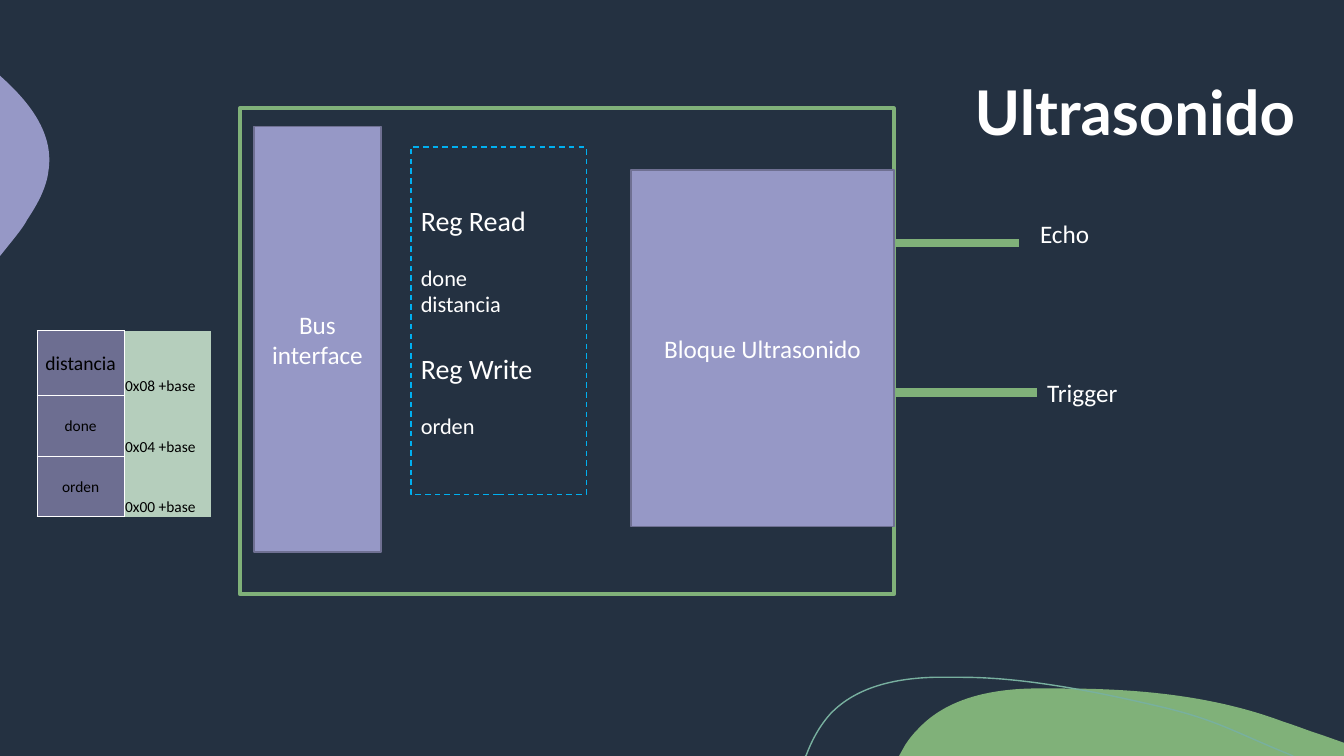
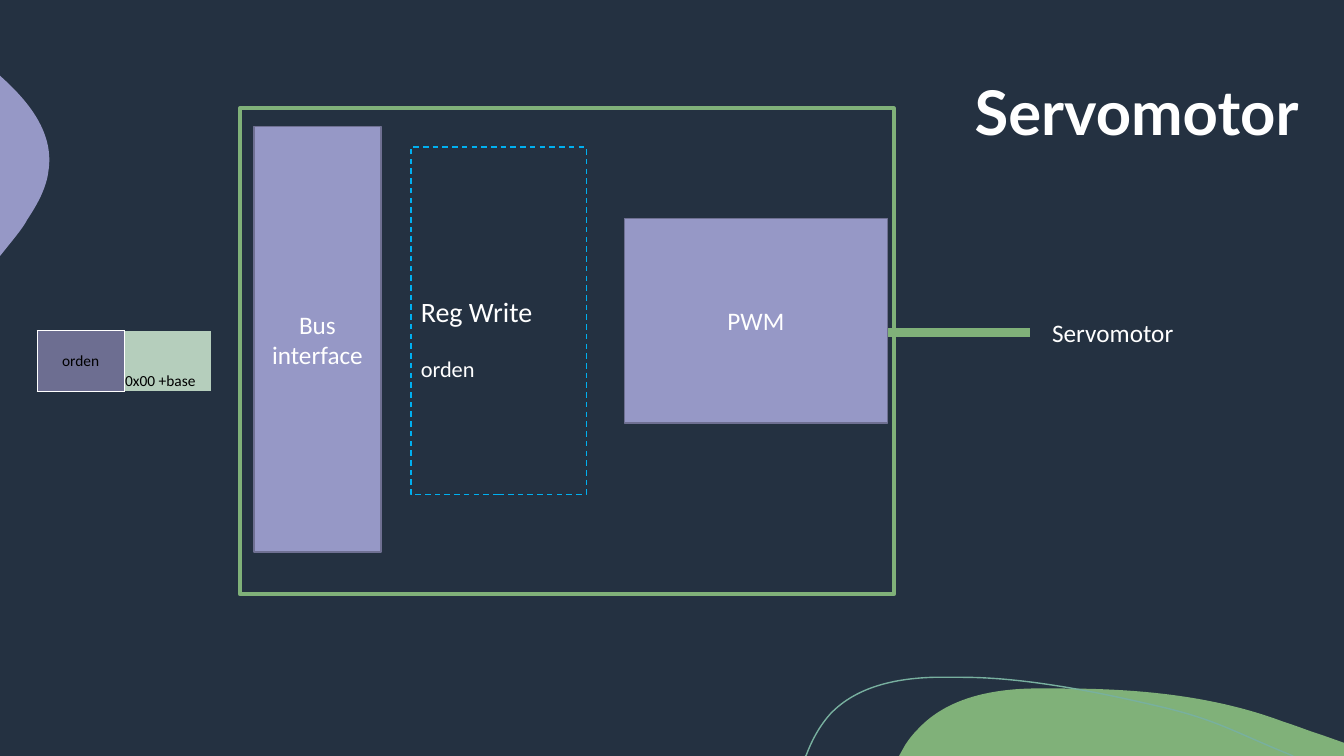
from lxml import etree
from pptx import Presentation
from pptx.dml.color import RGBColor
from pptx.enum.dml import MSO_LINE
from pptx.enum.shapes import MSO_CONNECTOR, MSO_SHAPE
from pptx.enum.text import MSO_ANCHOR, MSO_AUTO_SIZE, PP_ALIGN
from pptx.oxml.ns import qn
from pptx.util import Pt

RECT = MSO_SHAPE.RECTANGLE
STRAIGHT = MSO_CONNECTOR.STRAIGHT
DASH = MSO_LINE.DASH
MIDDLE, BOTTOM = MSO_ANCHOR.MIDDLE, MSO_ANCHOR.BOTTOM
LEFT, CENTER = PP_ALIGN.LEFT, PP_ALIGN.CENTER
FIT = MSO_AUTO_SIZE.SHAPE_TO_FIT_TEXT

# Shared look
COLORS = {
    "night": "243141", "green": "80B179", "lilac": "9698C6", "teal": "78B09F",
    "edge": "6F7092", "register": "6D6E91", "address": "B5CEBC",
    "dash": "00B0F0", "white": "FFFFFF", "black": "000000",
}
TITLE_FONT, BODY_FONT = "Lato", "Calibri"
PLAIN_TABLE = "{2D5ABB26-0587-4C30-8999-92F81FD0307C}"

# Boxes are left, top, width, height in points
TITLE_BOX = (689, 15.5, 270.7, 134)
FRAME_BOX = (171.4, 77.4, 467, 347)
BUS_BOX = (181.4, 90.4, 90.7, 303.8)
REGISTERS_BOX = (293.5, 105.1, 125.3, 248.2)
MAP_LEFT, MAP_TOP, MAP_COLUMN, MAP_ROW = 26.6, 236.2, 62.1, 14.4
ROWS_PER_REGISTER = 3
LABEL_HEIGHT = 28.8
LINE_16, LINE_20 = 19.2, 24.2  # line heights of 16 and 20 point text

# Background curves: a start, then points (2 numbers) or Bezier pieces (6 numbers)
HILL = [(758.9, 491.8), (812.2, 491.8, 866.9, 496.8, 916.6, 515.5),
        (925.9, 518.4, 934.6, 522, 943.9, 524.9), (960, 530.6), (960, 540),
        (642.2, 540), (646.6, 532.1), (649.4, 527.8, 652.3, 524.2, 655.9, 520.6),
        (676.1, 499, 707, 492.5, 736.6, 491.8),
        (743.8, 491.8, 751, 491.8, 758.9, 491.8)]
LEAF = [(0, 54), (0.7, 54.7), (21.6, 73.4, 38.9, 95.8, 34.6, 122.4),
        (33.1, 134.6, 26.6, 146.2, 19.4, 157),
        (17.3, 161.3, 12.2, 167.8, 5.8, 175.7), (0, 182.9)]
WAVE = [(575.3, 540), (576, 539.3), (580.3, 527.8, 586.1, 517.7, 593.3, 509.8),
        (612, 490.3, 640.1, 484.6, 666.7, 483.8), (687.6, 483.8),
        (735.8, 483.8, 792, 496.1, 831.6, 505.4),
        (870.5, 514.8, 882.7, 523.4, 923.8, 540)]
CURVES = [(HILL, "green", None), (LEAF, "lilac", None), (WAVE, None, "teal")]

# Content: pins are label, line start, line y, label left, label top, label width
PERIPHERALS = [
    {
        "title": "Ultrasonido",
        "block": ("Bloque Ultrasonido", (450.7, 121.5, 187.9, 254.5)),
        "pins": [("Echo", 625.7, 173.5, 735.8, 152.3, 56.2),
                 ("Trigger", 638.6, 280.3, 740.9, 266, 74.2)],
        "registers": [("Reg Read", ["done", "distancia"]), ("Reg Write", ["orden"])],
        "top_inset": 3.6,
        "map": [("distancia", "0x08 +base", 14), ("done", "0x04 +base", 11),
                ("orden", "0x00 +base", 11)],
    },
    {
        "title": "Servomotor",
        "block": ("PWM", (446, 156, 187.9, 146.2)),
        "pins": [("Servomotor", 633.6, 237.6, 744.5, 223.2, 112.3)],
        "registers": [("Reg Write", ["orden"])],
        "top_inset": 3.6 + LINE_20,
        "map": [("orden", "0x00 +base", 11)],
    },
]
PIN_LENGTH = 102.2


def rgb(name):
    return RGBColor.from_string(COLORS[name])


def points(box):
    return [Pt(value) for value in box]


def style_text(paragraph, size, color="white", font=BODY_FONT, bold=False, align=LEFT):
    paragraph.alignment = align
    for run in paragraph.runs:
        run.font.size, run.font.name, run.font.bold = Pt(size), font, bold
        run.font.color.rgb = rgb(color)


def paint(shape, fill=None, line=None, width=1):
    shape.shadow.inherit = False
    if fill:
        shape.fill.solid()
        shape.fill.fore_color.rgb = rgb(fill)
    else:
        shape.fill.background()
    if line:
        shape.line.color.rgb = rgb(line)
        shape.line.width = Pt(width)
    else:
        shape.line.fill.background()


def add_box(slide, box, fill=None, line=None, width=1, text=""):
    shape = slide.shapes.add_shape(RECT, *points(box))
    paint(shape, fill, line, width)
    frame = shape.text_frame
    frame.word_wrap, frame.vertical_anchor = True, MIDDLE
    if text:
        frame.text = text
        style_text(frame.paragraphs[0], 18, align=CENTER)
    return shape


# Background curves
def add_curve(slide, pieces, closed):
    """Lay straight segments through all control points, then join threes into Beziers."""
    knots = [points(piece[i:i + 2]) for piece in pieces for i in range(0, len(piece), 2)]
    builder = slide.shapes.build_freeform(*knots[0])
    builder.add_line_segments(knots[1:], close=closed)
    curve = builder.convert_to_shape()
    segments = iter(list(curve.element.iter(qn("a:lnTo"))))
    for piece in pieces[1:]:
        segment = next(segments)
        if len(piece) == 6:
            segment.tag = qn("a:cubicBezTo")
            for extra in (next(segments), next(segments)):
                segment.append(extra[0])
                extra.getparent().remove(extra)
    return curve


def decorate_layout(layout, slide):
    """Draw the curves on a slide, then move them to the layout that all slides share."""
    layout.background.fill.solid()
    layout.background.fill.fore_color.rgb = rgb("night")
    for footer in list(layout.placeholders)[1:]:
        footer.element.getparent().remove(footer.element)
    for index, (pieces, fill, line) in enumerate(CURVES):
        curve = add_curve(slide, pieces, closed=fill is not None)
        paint(curve, fill, line)
        curve.element.nvSpPr.cNvPr.set("id", str(100 + index))
        layout.shapes.element.insert(2 + index, curve.element)


# Slide parts
def add_title(slide, text):
    title = slide.shapes.title
    title.left, title.top, title.width, title.height = points(TITLE_BOX)
    frame = title.text_frame
    frame.text = text
    frame.vertical_anchor, frame.word_wrap = MIDDLE, True
    frame.paragraphs[0].line_spacing = 0.9
    style_text(frame.paragraphs[0], 44, font=TITLE_FONT, bold=True)


def add_pin(slide, label, start, y, label_left, label_top, label_width):
    wire = slide.shapes.add_connector(STRAIGHT, *points((start, y, start + PIN_LENGTH, y)))
    wire.line.color.rgb = rgb("green")
    wire.line.width = Pt(6)
    etree.SubElement(wire.element.spPr, qn("a:effectLst"))
    caption = slide.shapes.add_textbox(
        *points((label_left, label_top, label_width, LABEL_HEIGHT)))
    frame = caption.text_frame
    frame.text = label
    frame.word_wrap, frame.auto_size = False, FIT
    style_text(frame.paragraphs[0], 18)


def add_registers(slide, groups, top_inset):
    box = add_box(slide, REGISTERS_BOX, line="dash")
    box.line.dash_style = DASH
    frame = box.text_frame
    frame.margin_top = Pt(top_inset)
    lines = [(text, text == heading) for heading, names in groups
             for text in [heading, *names]]
    frame.text = "\n".join(text for text, _ in lines)
    for index, (paragraph, (_, is_heading)) in enumerate(zip(frame.paragraphs, lines)):
        style_text(paragraph, 20 if is_heading else 16)
        if is_heading:
            paragraph.space_after = Pt(LINE_16)
            paragraph.space_before = Pt(LINE_20 if index else 0)


def border_cell(cell):
    properties = cell._tc.get_or_add_tcPr()
    for side in ("a:lnL", "a:lnR", "a:lnT", "a:lnB"):
        line = etree.SubElement(properties, qn(side), w=str(Pt(1)))
        fill = etree.SubElement(line, qn("a:solidFill"))
        etree.SubElement(fill, qn("a:srgbClr"), val=COLORS["white"])


def add_address_map(slide, entries):
    count = ROWS_PER_REGISTER * len(entries)
    graphic = slide.shapes.add_table(
        count, 2, *points((MAP_LEFT, MAP_TOP, 2 * MAP_COLUMN, count * MAP_ROW)))
    table = graphic.table
    table.first_row = table.horz_banding = False
    graphic.element.find(".//" + qn("a:tableStyleId")).text = PLAIN_TABLE
    for column in table.columns:
        column.width = Pt(MAP_COLUMN)
    for row in range(count):
        table.rows[row].height = Pt(MAP_ROW)
        name, address, name_size = entries[row // ROWS_PER_REGISTER]
        place = row % ROWS_PER_REGISTER
        name_cell, address_cell = table.cell(row, 0), table.cell(row, 1)
        border_cell(name_cell)
        for cell, text, size, fill, anchor, align in (
                (name_cell, name if place == 0 else "", name_size,
                 "register", MIDDLE, CENTER),
                (address_cell, address if place == ROWS_PER_REGISTER - 1 else "", 11,
                 "address", BOTTOM, LEFT)):
            cell.margin_left = cell.margin_right = cell.margin_top = Pt(0.7)
            cell.margin_bottom = 0
            cell.vertical_anchor = anchor
            cell.fill.solid()
            cell.fill.fore_color.rgb = rgb(fill)
            paragraph = cell.text_frame.paragraphs[0]
            if text:
                paragraph.text = text
                style_text(paragraph, size, "black", align=align)
            else:
                # Small type keeps an empty row low
                etree.SubElement(paragraph._p, qn("a:endParaRPr"), sz="1100")
    for top in range(0, count, ROWS_PER_REGISTER):
        table.cell(top, 0).merge(table.cell(top + ROWS_PER_REGISTER - 1, 0))


def add_peripheral(slide, content):
    add_title(slide, content["title"])
    add_box(slide, FRAME_BOX, line="green", width=3)
    add_box(slide, BUS_BOX, "lilac", "edge", text="Bus interface")
    add_address_map(slide, content["map"])
    for pin in content["pins"]:
        add_pin(slide, *pin)
    name, box = content["block"]
    add_box(slide, box, "lilac", "edge", text=name)
    add_registers(slide, content["registers"], content["top_inset"])


def main():
    deck = Presentation()
    deck.slide_width, deck.slide_height = Pt(960), Pt(540)
    layout = deck.slide_layouts[5]
    slides = [deck.slides.add_slide(layout) for _ in PERIPHERALS]
    decorate_layout(layout, slides[0])
    for slide, content in zip(slides, PERIPHERALS):
        add_peripheral(slide, content)
    deck.save("out.pptx")


if __name__ == "__main__":
    main()
